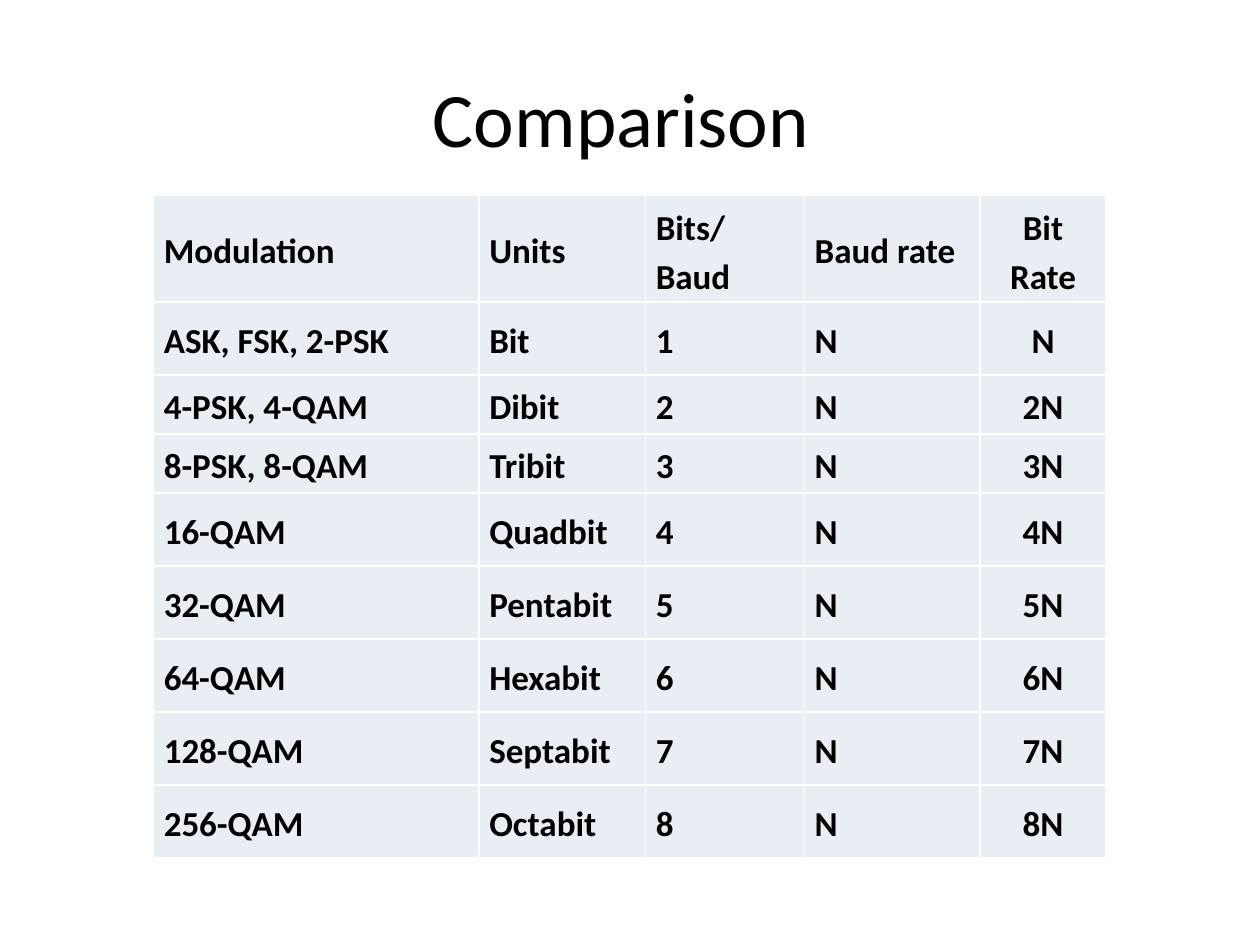
from lxml import etree
from pptx import Presentation
from pptx.dml.color import RGBColor
from pptx.enum.text import MSO_ANCHOR, PP_ALIGN
from pptx.oxml.ns import qn
from pptx.util import Inches, Pt

BLACK = RGBColor(0x00, 0x00, 0x00)
WHITE = RGBColor(0xFF, 0xFF, 0xFF)
PALE_BLUE = RGBColor(0xE9, 0xED, 0xF4)
FONT = "Calibri"

HEADER = ["Modulation", "Units", "Bits/Baud", "Baud rate", "Bit Rate"]
MODULATIONS = [
    ("ASK, FSK, 2-PSK", "Bit"),
    ("4-PSK, 4-QAM", "Dibit"),
    ("8-PSK, 8-QAM", "Tribit"),
    ("16-QAM", "Quadbit"),
    ("32-QAM", "Pentabit"),
    ("64-QAM", "Hexabit"),
    ("128-QAM", "Septabit"),
    ("256-QAM", "Octabit"),
]
COL_WIDTHS = [2.58, 1.32, 1.26, 1.39, 1]
ROW_HEIGHTS = [0.83, 0.58, 0.47, 0.47] + [0.58] * 5


def style_paragraph(p, size, align, bold=False):
    p.alignment = align
    for r in p.runs:
        r.font.name = FONT
        r.font.size = Pt(size)
        r.font.bold = bold
        r.font.color.rgb = BLACK


def add_title(s, text, left, top, width, height):
    box = s.shapes.add_textbox(left, top, width, height)
    tf = box.text_frame
    tf.word_wrap = True
    tf.vertical_anchor = MSO_ANCHOR.MIDDLE
    tf.text = text
    style_paragraph(tf.paragraphs[0], 44, PP_ALIGN.CENTER)


def add_borders(cell):
    # Border lines come before the fill in the cell properties
    props = cell._tc.get_or_add_tcPr()
    for i, side in enumerate(("lnL", "lnR", "lnT", "lnB")):
        line = etree.Element(qn(f"a:{side}"), w=str(Pt(1)))
        fill = etree.SubElement(line, qn("a:solidFill"))
        etree.SubElement(fill, qn("a:srgbClr"), val=str(WHITE))
        props.insert(i, line)


def fill_cell(cell, text, align):
    cell.fill.solid()
    cell.fill.fore_color.rgb = PALE_BLUE
    add_borders(cell)
    cell.vertical_anchor = MSO_ANCHOR.MIDDLE
    cell.margin_left = cell.margin_right = Inches(0.08)
    cell.margin_top = cell.margin_bottom = Inches(0.04)
    cell.text_frame.text = text
    p = cell.text_frame.paragraphs[0]
    p.line_spacing = 1.15
    p.space_after = Pt(10)
    style_paragraph(p, 20, align, bold=True)


def add_comparison_table(s, rows, left, top, width, height):
    table = s.shapes.add_table(len(rows), len(HEADER), left, top, width, height).table
    table.first_row = table.horz_banding = False
    # Column and row sizes are shares of the box
    for col, share in zip(table.columns, COL_WIDTHS):
        col.width = int(width * share / sum(COL_WIDTHS))
    for row, share in zip(table.rows, ROW_HEIGHTS):
        row.height = int(height * share / sum(ROW_HEIGHTS))
    for i, row in enumerate(rows):
        for j, text in enumerate(row):
            last = j == len(HEADER) - 1
            fill_cell(table.cell(i, j), text, PP_ALIGN.CENTER if last else PP_ALIGN.LEFT)


def main():
    prs = Presentation()
    prs.slide_width, prs.slide_height = Inches(10), Inches(7.5)
    s = prs.slides.add_slide(prs.slide_layouts[6])

    # Title
    add_title(s, "Comparison ", Inches(0.5), Inches(0.3), Inches(9), Inches(1.25))

    # Each step adds one bit per baud, and so one N to the bit rate
    rows = [HEADER]
    for bits, (modulation, unit) in enumerate(MODULATIONS, start=1):
        rate = "N" if bits == 1 else f"{bits}N"
        rows.append([modulation, unit, str(bits), "N", rate])
    add_comparison_table(s, rows, Inches(1.22), Inches(1.55), Inches(7.56), Inches(5.24))

    prs.save("out.pptx")


if __name__ == "__main__":
    main()
